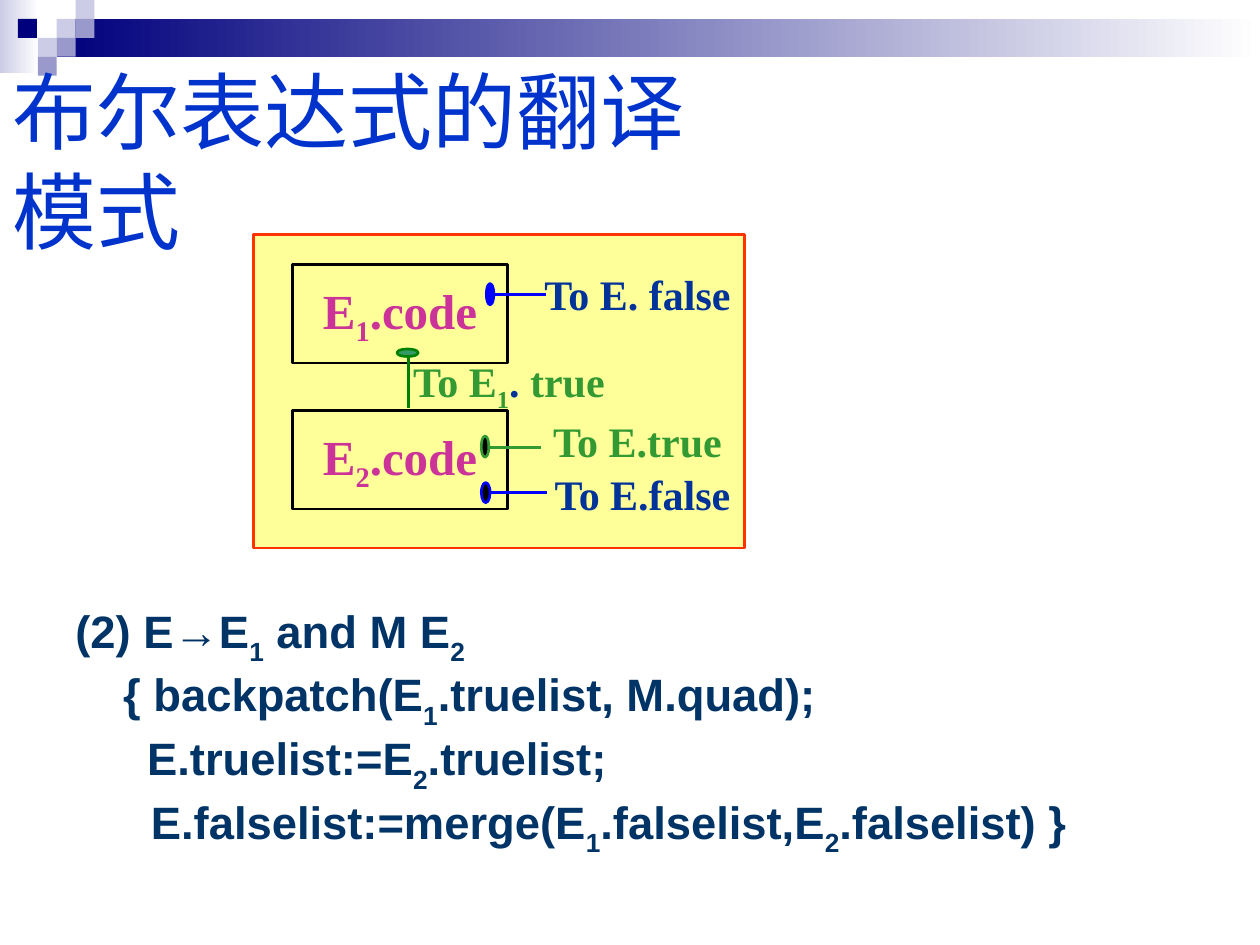
from lxml import etree
from pptx import Presentation
from pptx.dml.color import RGBColor
from pptx.enum import shapes, text
from pptx.oxml.ns import qn
from pptx.util import Inches, Pt

NAVY, LILAC, VIOLET, WHITE = "00007D", "CCCCE6", "9999CC", "FFFFFF"
BLUE, GREEN, DARK_GREEN, BLACK = "0000FF", "339933", "008000", "000000"
LABEL_BLUE, PINK, CODE_BLUE = "003399", "CC3399", "003366"
SERIF, SANS = "Times New Roman", "Arial"

TITLE = "布尔表达式的翻译模式"
# "_" makes the next character a subscript; each line has its left indent
CODE = [
    ("(2) E→E_1 and M E_2", 0),
    ("{ backpatch(E_1.truelist, M.quad);", 0.38),
    ("E.truelist:=E_2.truelist;", 0.57),
    ("E.falselist:=merge(E_1.falselist,E_2.falselist) }", 0.6),
]
BANDS = [((0, 0, 0.31, 0.58), LILAC), ((0.45, 0.15, 9.55, 0.3), NAVY)]
TILE = 0.15
TILES = [  # column, row, colour
    (3, 1, LILAC), (4, 0, LILAC), (4, 1, VIOLET), (2, 2, LILAC),
    (0.95, 1, NAVY), (3, 2, VIOLET), (2, 3, VIOLET),
]
PANEL = (2.01, 1.86, 3.9, 2.49)
CODE_BOXES = [("E_1.code", 2.1), ("E_2.code", 3.26)]
LABEL_WIDTH, LABEL_HEIGHT = 1.86, 0.6
LABELS = [  # spans, centre x, centre y
    ([("To E. false", LABEL_BLUE)], 5.06, 2.33),
    ([("To E_1", GREEN), (". ", LABEL_BLUE), ("true", GREEN)], 4.04, 3.05),
    ([("To E.true", GREEN)], 5.06, 3.5),
    ([("To E.false", LABEL_BLUE)], 5.1, 3.92),
]
EXITS = [  # line start, line end, dot place, dot fill, line colour
    ((3.92, 2.34), (4.33, 2.34), (3.86, 2.25, 0.06, 0.17), BLUE, BLUE),
    ((3.24, 2.83), (3.24, 3.24), (3.15, 2.77, 0.17, 0.06), "339966", DARK_GREEN),
    ((3.88, 3.55), (4.29, 3.55), (3.82, 3.46, 0.06, 0.17), BLACK, GREEN),
    ((3.88, 3.91), (4.34, 3.91), (3.82, 3.83, 0.07, 0.16), BLACK, BLUE),
]

deck = Presentation()
deck.slide_width, deck.slide_height = Inches(10), Inches(7.5)
page = deck.slides.add_slide(deck.slide_layouts[6])


def color(value):
    return RGBColor.from_string(value)


def add_box(place, fill=None, line=None, kind=shapes.MSO_SHAPE.RECTANGLE):
    box = page.shapes.add_shape(kind, *map(Inches, place))
    box.shadow.inherit = False
    if fill:
        box.fill.solid()
        box.fill.fore_color.rgb = color(fill)
    else:
        box.fill.background()
    if line:
        box.line.color.rgb = color(line)
        box.line.width = Pt(1.5)
    else:
        box.line.fill.background()
    return box


def add_line(start, end, line):
    link = page.shapes.add_connector(
        shapes.MSO_CONNECTOR.STRAIGHT, *map(Inches, start + end))
    link.line.color.rgb = color(line)
    link.line.width = Pt(1.5)
    etree.SubElement(link._element.spPr, qn("a:effectLst"))


def add_text_box(place, anchor=text.MSO_ANCHOR.MIDDLE):
    box = page.shapes.add_textbox(*map(Inches, place))
    box.text_frame.word_wrap = True
    box.text_frame.vertical_anchor = anchor
    return box


def add_spans(para, content, size, face, tint, bold=True, drop=-25):
    """Add runs, lowering each character that follows an underscore."""
    first, *rest = content.split("_")
    pieces = [(first, 0)]
    for piece in rest:
        pieces += [(piece[0], drop), (piece[1:], 0)]
    for words, base in pieces:
        if not words:
            continue
        span = para.add_run()
        span.text = words
        span.font.size, span.font.name = Pt(size), face
        span.font.bold = bold
        span.font.color.rgb = color(tint)
        if base:
            span.font._element.set("baseline", str(base * 1000))


for place, tint in BANDS:
    band = add_box(place, tint)
    band.fill.gradient()
    band.fill.gradient_angle = 0
    for stop, shade in zip(band.fill.gradient_stops, (tint, WHITE)):
        stop.color.rgb = color(shade)
for column, row, tint in TILES:
    add_box((column * TILE, row * TILE, TILE, TILE), tint)

add_box(PANEL, "FFFF99", "FF3300")

title = add_text_box((0, 0.52, 6.02, 1.5))
add_spans(title.text_frame.paragraphs[0], TITLE, 48, SANS, "0033CC", bold=False)

code = add_text_box((0.5, 4.77, 9, 2.04), text.MSO_ANCHOR.TOP).text_frame
for index, (content, indent) in enumerate(CODE):
    para = code.add_paragraph() if index else code.paragraphs[0]
    para._p.get_or_add_pPr().set("marL", str(Inches(indent)))
    para.line_spacing = 0.8
    para.space_before = Pt(7 if index else 0)
    add_spans(para, content, 25.9, SANS, CODE_BLUE, drop=-30)

for content, top in CODE_BOXES:
    box = add_box((2.32, top, 1.71, 0.78), line=BLACK)
    box.text_frame.word_wrap = False
    para = box.text_frame.paragraphs[0]
    para.alignment = text.PP_ALIGN.CENTER
    add_spans(para, content, 28, SERIF, PINK)

for start, end, dot, fill, line in EXITS:
    add_line(start, end, line)
    add_box(dot, fill, line, shapes.MSO_SHAPE.OVAL)

for spans, x, y in LABELS:
    label = add_text_box((x - LABEL_WIDTH / 2, y - LABEL_HEIGHT / 2,
                          LABEL_WIDTH, LABEL_HEIGHT))
    para = label.text_frame.paragraphs[0]
    para.alignment = text.PP_ALIGN.CENTER
    for content, tint in spans:
        add_spans(para, content, 24, SERIF, tint)

deck.save("out.pptx")
